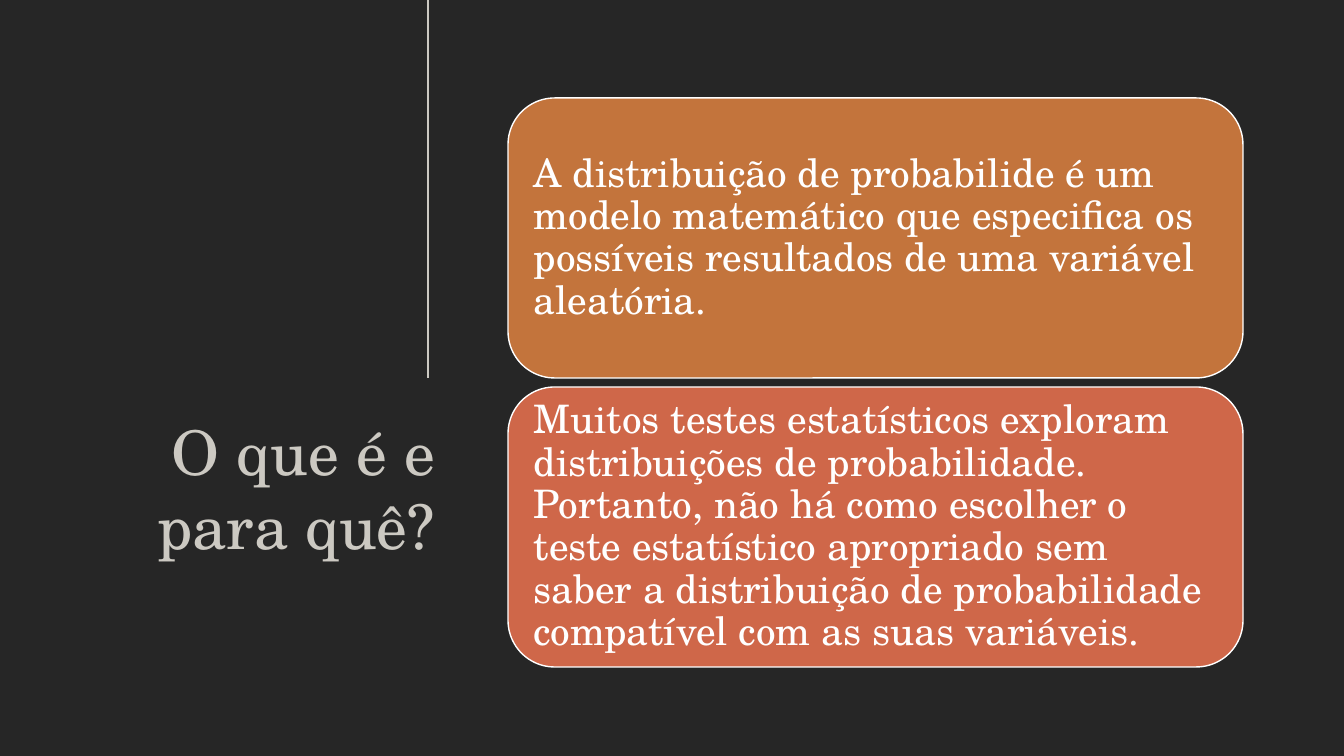
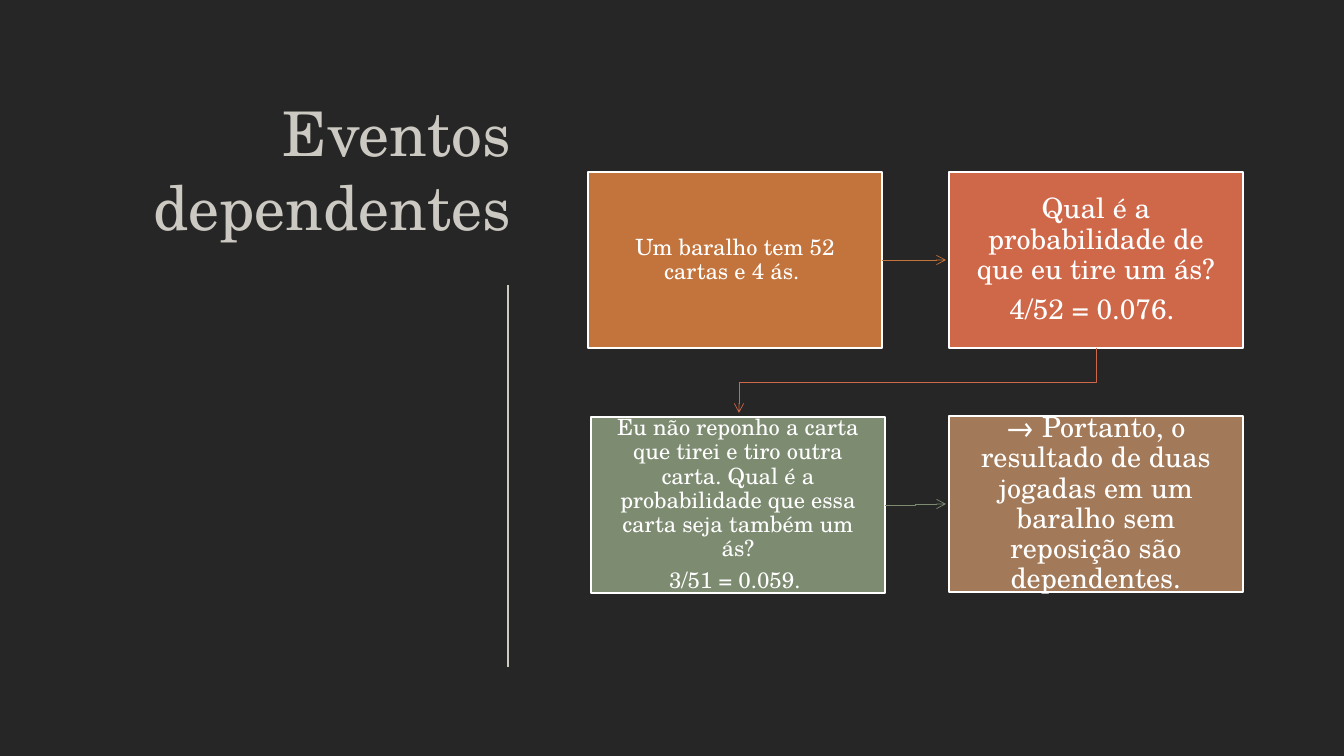
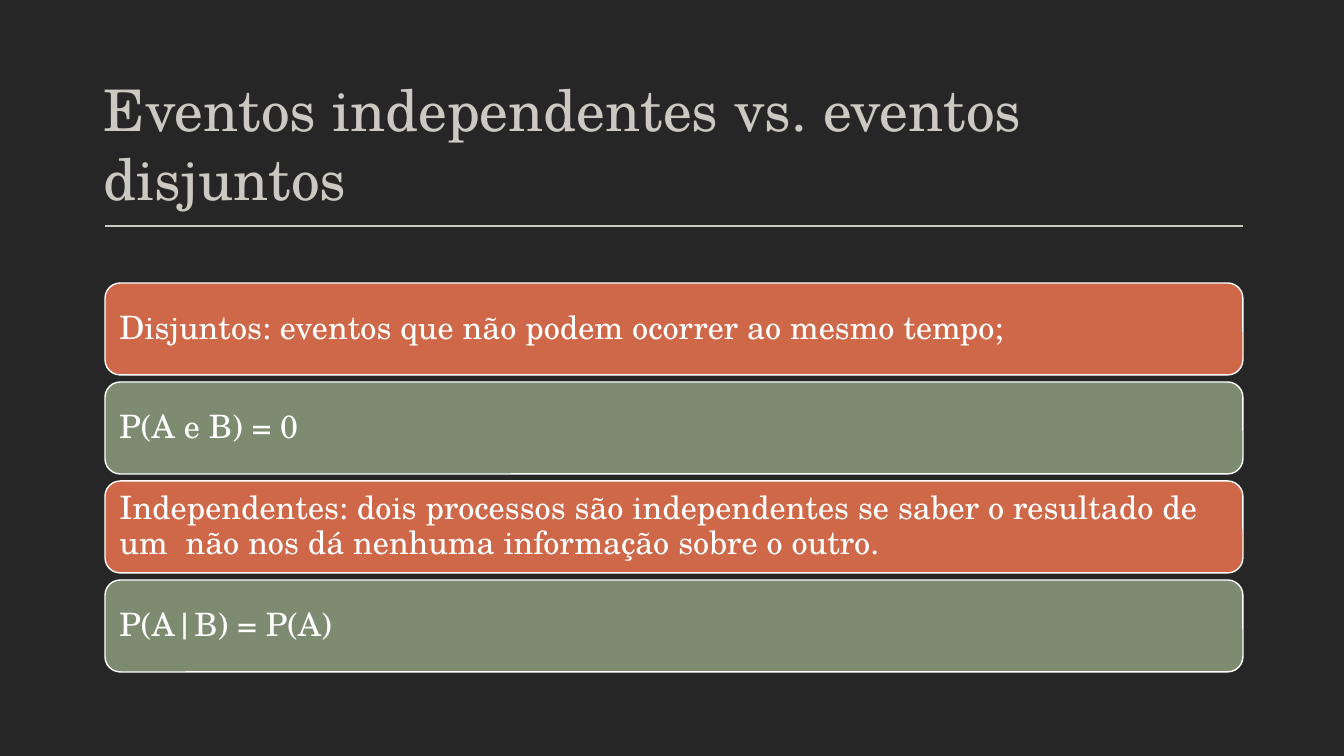
from lxml import etree
from pptx import Presentation
from pptx import util as u
from pptx.dml.color import RGBColor
from pptx.enum import shapes, text
from pptx.oxml.ns import qn

PX = 12192000 / 1344  # EMU in one px
FONT = "TeX Gyre Schola"
DARK = RGBColor(0x26, 0x26, 0x26)
PALE = RGBColor(0xCC, 0xC9, 0xC2)
WHITE = RGBColor(0xFF, 0xFF, 0xFF)
ORANGE = RGBColor(0xC3, 0x74, 0x3C)
RED = RGBColor(0xCF, 0x67, 0x49)
GREEN = RGBColor(0x7D, 0x8B, 0x71)
BROWN = RGBColor(0xA3, 0x7A, 0x59)
LEFT, CENTER, RIGHT = text.PP_ALIGN.LEFT, text.PP_ALIGN.CENTER, text.PP_ALIGN.RIGHT
TOP, BOTTOM = text.MSO_ANCHOR.TOP, text.MSO_ANCHOR.BOTTOM
RECT, ROUND = shapes.MSO_SHAPE.RECTANGLE, shapes.MSO_SHAPE.ROUNDED_RECTANGLE
STRAIGHT, ELBOW = shapes.MSO_CONNECTOR.STRAIGHT, shapes.MSO_CONNECTOR.ELBOW


def style_line(sp, color, width, arrow=False):
    sp.line.color.rgb = color
    sp.line.width = u.Pt(width)
    spPr = sp._element.spPr
    if arrow:
        etree.SubElement(spPr.find(qn("a:ln")), qn("a:tailEnd"), type="arrow")
    etree.SubElement(spPr, qn("a:effectLst"))


def add_box(s, kind, place, color, paragraphs, size, margins, align=LEFT):
    sp = s.shapes.add_shape(kind, *[round(v * PX) for v in place])
    sp.fill.solid()
    sp.fill.fore_color.rgb = color
    style_line(sp, WHITE, 1)
    tf = sp.text_frame
    tf.word_wrap = True
    tf.vertical_anchor = text.MSO_ANCHOR.MIDDLE
    tf.margin_left = tf.margin_right = round(margins[0] * PX)
    tf.margin_top = tf.margin_bottom = round(margins[1] * PX)
    for i, words in enumerate(paragraphs):
        p = tf.paragraphs[0] if i == 0 else tf.add_paragraph()
        p.add_run().text = words
        p.alignment = align
        p.line_spacing = 0.9
        p.space_after = u.Pt(size * 0.35)
        p.font.name, p.font.size, p.font.color.rgb = FONT, u.Pt(size), WHITE
    return sp


prs = Presentation()
prs.slide_width, prs.slide_height = round(1344 * PX), round(756 * PX)

# Background, title and rule of every slide
titles = [
    ("O que é e para quê?", (70, 409, 375, 242), 44, RIGHT, TOP, (428, 0, 428, 378)),
    ("Eventos dependentes", (87, 89, 434, 159), 44, RIGHT, BOTTOM, (508, 285, 508, 667)),
    ("Eventos independentes vs. eventos disjuntos", (94, 97, 1149, 120), 41, LEFT, BOTTOM,
     (1243, 226, 105, 226)),
]
slides = []
for title, place, size, align, anchor, rule in titles:
    s = prs.slides.add_slide(prs.slide_layouts[6])
    s.background.fill.solid()
    s.background.fill.fore_color.rgb = DARK
    tf = s.shapes.add_textbox(*[round(v * PX) for v in place]).text_frame
    tf.word_wrap = True
    tf.vertical_anchor = anchor
    p = tf.paragraphs[0]
    p.text = title
    p.alignment = align
    p.font.name, p.font.size, p.font.color.rgb = FONT, u.Pt(size), PALE
    line = s.shapes.add_connector(STRAIGHT, *[round(v * PX) for v in rule])
    style_line(line, PALE, 0.85)
    slides.append(s)

# Slide 1: two statements
statements = [
    (ORANGE, "A distribuição de probabilide é um modelo matemático que especifica os "
             "possíveis resultados de uma variável aleatória."),
    (RED, "Muitos testes estatísticos exploram distribuições de probabilidade. Portanto, "
          "não há como escolher o teste estatístico apropriado sem saber a distribuição de "
          "probabilidade compatível com as suas variáveis."),
]
for i, (color, words) in enumerate(statements):
    add_box(slides[0], ROUND, (508, 98 + 289 * i, 735, 280), color, [words], 28, (12, 12))

# Slide 2: four steps
s = slides[1]
steps = [
    (588, 172, ORANGE, 16, ["Um baralho tem 52 cartas e 4 ás. "]),
    (949, 172, RED, 20, ["Qual é a probabilidade de que eu tire um ás?", "4/52 = 0.076. "]),
    (591, 417, GREEN, 16, ["Eu não reponho a carta que tirei e tiro outra carta. Qual é a "
                           "probabilidade que essa carta seja também um ás?",
                           "3/51 = 0.059. "]),
    (949, 416, BROWN, 20, ["→ Portanto, o resultado de duas jogadas em um baralho sem "
                           "reposição são "]),
]
boxes = [add_box(s, RECT, (x, y, 294, 176), color, words, size, (14, 15), CENTER)
         for x, y, color, size, words in steps]
r = boxes[3].text_frame.paragraphs[0].add_run()
r.text = "dependentes."
r.font.underline = True

# Arrows along the rows, then the one down to the second row
for kind, box, y, color in [(STRAIGHT, boxes[0], 260, ORANGE), (ELBOW, boxes[2], 504, GREEN)]:
    arrow = s.shapes.add_connector(kind, 0, 0, round(946 * PX), round(y * PX))
    arrow.begin_connect(box, 3)
    style_line(arrow, color, 0.5, arrow=True)
path = s.shapes.build_freeform(1096, 348, scale=PX)
path.add_line_segments([(1096, 382), (739, 382), (739, 413)], close=False)
arrow = path.convert_to_shape()
arrow.fill.background()
style_line(arrow, RED, 0.5, arrow=True)

# Slide 3: definitions and formulas in alternating colours
rows = [
    "Disjuntos: eventos que não podem ocorrer ao mesmo tempo;",
    "P(A e B) = 0",
    "Independentes: dois processos são independentes se saber o resultado de um  não nos dá "
    "nenhuma informação sobre o outro.",
    "P(A|B) = P(A)",
]
for i, words in enumerate(rows):
    add_box(slides[2], ROUND, (105, 283 + 99 * i, 1138, 92), (RED, GREEN)[i % 2], [words],
            23, (10, 10))

prs.save("out.pptx")
